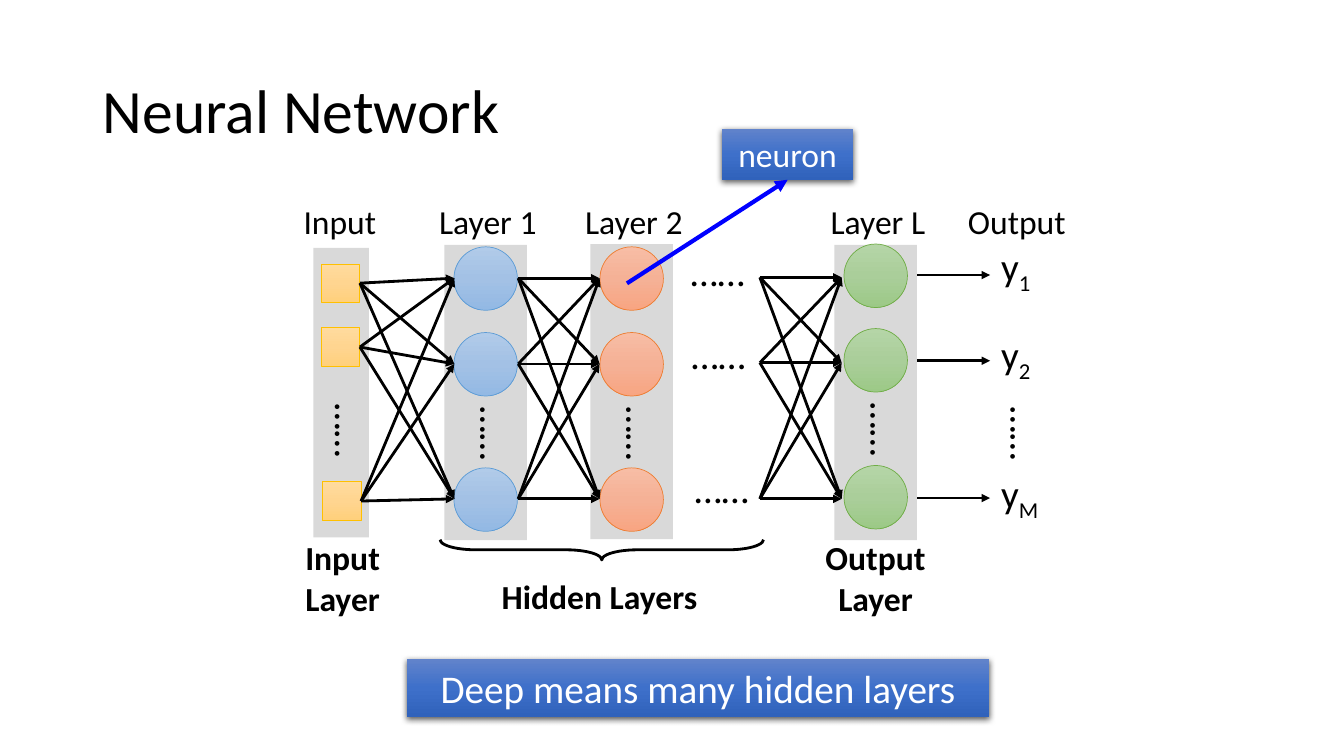
"""Build the slide on the layers of a deep neural network."""
import copy
import dataclasses
import itertools
import typing

import pptx
import pptx.dml.color
import pptx.enum.shapes
import pptx.enum.text
import pptx.oxml
import pptx.oxml.ns
import pptx.util

Cm, Pt, qn = pptx.util.Cm, pptx.util.Pt, pptx.oxml.ns.qn
RGB = pptx.dml.color.RGBColor.from_string
SHAPE = pptx.enum.shapes.MSO_SHAPE
ALIGN = pptx.enum.text.PP_ALIGN
Point = tuple[float, float]


@dataclasses.dataclass(frozen=True)
class Theme:
    font: str = "Calibri"
    ink: str = "000000"
    white: str = "FFFFFF"
    panel: str = "D9D9D9"
    pointer: str = "0000FF"
    title: int = 44
    large: int = 28
    label: int = 24
    amber: tuple = ("FFDB9E", "FFD590", "FFD07C", "FFC000")
    blue: tuple = ("B1CBE9", "A3C1E5", "93B9E4", "5B9BD5")
    orange: tuple = ("F7BDA5", "F5B196", "F8A582", "ED7D31")
    green: tuple = ("B5D5A7", "AACE9A", "9CC987", "70AD47")
    callout: tuple = ("6183CB", "3E70CA", "3062BB", None)


class Box(typing.NamedTuple):
    left: float
    top: float
    width: float
    height: float

    def lengths(self) -> list:
        return [Cm(v) for v in self]


class Layer(typing.NamedTuple):
    name: str
    left: float
    top: float
    node_tops: tuple
    dots_top: float
    colours: tuple


class Label(typing.NamedTuple):
    text: str
    box: Box
    size: int
    bold: bool = False
    rotation: int = 0


T = Theme()
NODE = 1.6
SQUARE = 0.97
CAPTION_TOP = 4.93
LAYERS = [
    Layer("Layer 1", 11.2, 6.17, (6.22, 8.38, 11.79), 10.19, T.blue),
    Layer("Layer 2", 14.88, 6.15, (6.22, 8.38, 11.79), 10.19, T.orange),
    Layer("Layer L", 21.03, 6.17, (6.15, 8.28, 11.73), 10.11, T.green),
]
SHADOW = ('<a:outerShdw xmlns:a="http://schemas.openxmlformats.org/drawingml/2006/main" '
          'blurRad="57150" dist="19050" dir="5400000" algn="ctr" rotWithShape="0">'
          '<a:srgbClr val="000000"><a:alpha val="63000"/></a:srgbClr></a:outerShdw>')


def assign(target, values: dict) -> None:
    for name, value in values.items():
        setattr(target, name, value)


def write(s, text: str, size: int, colour: str = T.ink, bold: bool = False,
          align=ALIGN.CENTER, subscript: str = "") -> None:
    tf = s.text_frame
    assign(tf, {"word_wrap": True,
                "auto_size": pptx.enum.text.MSO_AUTO_SIZE.SHAPE_TO_FIT_TEXT})
    p = tf.paragraphs[0]
    p.alignment = align
    for part in filter(None, (text, subscript)):
        r = p.add_run()
        r.text = part
        assign(r.font, {"name": T.font, "size": Pt(size), "bold": bold})
        r.font.color.rgb = RGB(colour)
    if subscript:
        r._r.get_or_add_rPr().set("baseline", "-25000")


def add_label(shapes, label: Label):
    s = shapes.add_textbox(*label.box.lengths())
    s.rotation = label.rotation
    write(s, label.text, label.size, bold=label.bold)
    return s


def add_plain(shapes, kind, box: Box):
    s = shapes.add_shape(kind, *box.lengths())
    s.shadow.inherit = False
    s.line.fill.background()
    return s


def add_panel(shapes, box: Box) -> None:
    s = add_plain(shapes, SHAPE.RECTANGLE, box)
    s.fill.solid()
    s.fill.fore_color.rgb = RGB(T.panel)


def add_gradient(shapes, kind, box: Box, colours: tuple):
    s = add_plain(shapes, kind, box)
    s.fill.gradient()
    s.fill.gradient_angle = 270
    stops = s._element.spPr.find(".//" + qn("a:gsLst"))
    stops.insert(1, copy.deepcopy(stops[0]))
    *fills, outline = colours
    for stop, position, colour in zip(s.fill.gradient_stops, (0, 0.5, 1), fills):
        stop.position = position
        stop.color.rgb = RGB(colour)
    if outline:
        s.line.color.rgb = RGB(outline)
        s.line.width = Pt(0.5)
    return s


def add_callout(shapes, text: str, box: Box, size: int):
    s = add_gradient(shapes, SHAPE.RECTANGLE, box, T.callout)
    s._element.spPr.find(qn("a:effectLst")).append(pptx.oxml.parse_xml(SHADOW))
    write(s, text, size, T.white)
    return s


def add_arrow(shapes, start: Point, end: Point, colour: str = T.ink, width: float = 2):
    s = shapes.add_connector(pptx.enum.shapes.MSO_CONNECTOR.STRAIGHT,
                             *(Cm(v) for v in start + end))
    s.line.color.rgb = RGB(colour)
    s.line.width = Pt(width)
    tail = s.line._get_or_add_ln().makeelement(qn("a:tailEnd"), {"type": "triangle"})
    s.line._get_or_add_ln().append(tail)
    spPr = s._element.spPr
    spPr.append(spPr.makeelement(qn("a:effectLst"), {}))
    return s


def add_layer(shapes, layer: Layer) -> None:
    add_panel(shapes, Box(layer.left, layer.top, 2.08, 7.44))
    add_label(shapes, Label(layer.name, Box(layer.left - 0.48, CAPTION_TOP, 3.15, 1.27), T.label))
    for top in layer.node_tops:
        add_gradient(shapes, SHAPE.OVAL, Box(layer.left + 0.24, top, NODE, NODE), layer.colours)
    add_label(shapes, Label("……", Box(layer.left + 0.23, layer.dots_top, 2.13, 1.45),
                            T.large, rotation=90))


def add_mesh(shapes, left: float, right: float, heights: tuple) -> None:
    for start, end in itertools.product(heights, repeat=2):
        add_arrow(shapes, (left, start), (right, end))


def main() -> None:
    prs = pptx.Presentation()
    assign(prs, {"slide_width": Cm(33.87), "slide_height": Cm(19.05)})
    shapes = prs.slides.add_slide(prs.slide_layouts[6]).shapes

    title = shapes.add_textbox(*Box(2.34, 1.02, 29.21, 3.68).lengths())
    write(title, "Neural Network", T.title, align=ALIGN.LEFT)
    assign(title.text_frame, {"vertical_anchor": pptx.enum.text.MSO_ANCHOR.MIDDLE,
                              "auto_size": pptx.enum.text.MSO_AUTO_SIZE.NONE})
    title.text_frame.paragraphs[0].line_spacing = 0.9

    brace = add_plain(shapes, SHAPE.RIGHT_BRACE, Box(14.91, 9.78, 0.51, 8.15))
    brace.rotation = 90
    brace.adjustments[0] = 1.76
    brace.fill.background()
    brace.line.color.rgb = RGB(T.ink)
    brace.line.width = Pt(2)

    add_panel(shapes, Box(7.9, 6.25, 1.4, 7.29))
    for label in (
        Label("Output Layer", Box(20.45, 13.41, 3.23, 2.31), T.label, True),
        Label("Hidden Layers", Box(12.24, 14.38, 5.74, 1.27), T.label, True),
        Label("Input Layer", Box(7.34, 13.41, 2.59, 2.31), T.label, True),
        Label("Input", Box(6.99, CAPTION_TOP, 3.15, 1.27), T.label),
        Label("Output", Box(24.05, CAPTION_TOP, 3.15, 1.27), T.label),
        Label("……", Box(7.77, 10.13, 2.13, 1.45), T.large, rotation=90),
        Label("……", Box(24.79, 10.21, 2.13, 1.45), T.large, rotation=90),
        Label("……", Box(17.02, 6.1, 2.13, 1.45), T.large),
        Label("……", Box(17.04, 8.2, 2.13, 1.45), T.large),
        Label("……", Box(17.12, 11.58, 2.13, 1.45), T.large),
    ):
        add_label(shapes, label)

    for subscript, top, height in (("1", 5.99, 6.93), ("2", 8.2, 9.09), ("M", 11.71, 12.55)):
        add_arrow(shapes, (22.1, height), (24.95, height))
        s = shapes.add_textbox(*Box(24.98, top, 1.75, 1.45).lengths())
        write(s, "y", T.large, align=ALIGN.LEFT, subscript=subscript)

    for layer in LAYERS:
        add_layer(shapes, layer)

    heights = (7.01, 9.17, 12.57)
    for left, top in ((8.1, 6.65), (8.1, 8.26), (8.13, 12.14)):
        square = add_gradient(shapes, SHAPE.RECTANGLE, Box(left, top, SQUARE, SQUARE), T.amber)
        for height in heights:
            arrow = add_arrow(shapes, (left + SQUARE, top + SQUARE / 2), (11.45, height))
            arrow.begin_connect(square, 3)
    add_mesh(shapes, 13.06, 15.11, heights)
    add_mesh(shapes, 19.15, 21.21, (6.99, 9.14, 12.57))

    add_callout(shapes, "Deep means many hidden layers", Box(10.26, 16.61, 14.66, 1.45), T.large)
    neuron = add_callout(shapes, "neuron", Box(18.2, 3.25, 3.3, 1.28), T.label)
    add_arrow(shapes, (15.8, 7.14), (19.85, 4.53), T.pointer, 3).end_connect(neuron, 2)
    prs.save("out.pptx")


if __name__ == "__main__":
    main()
